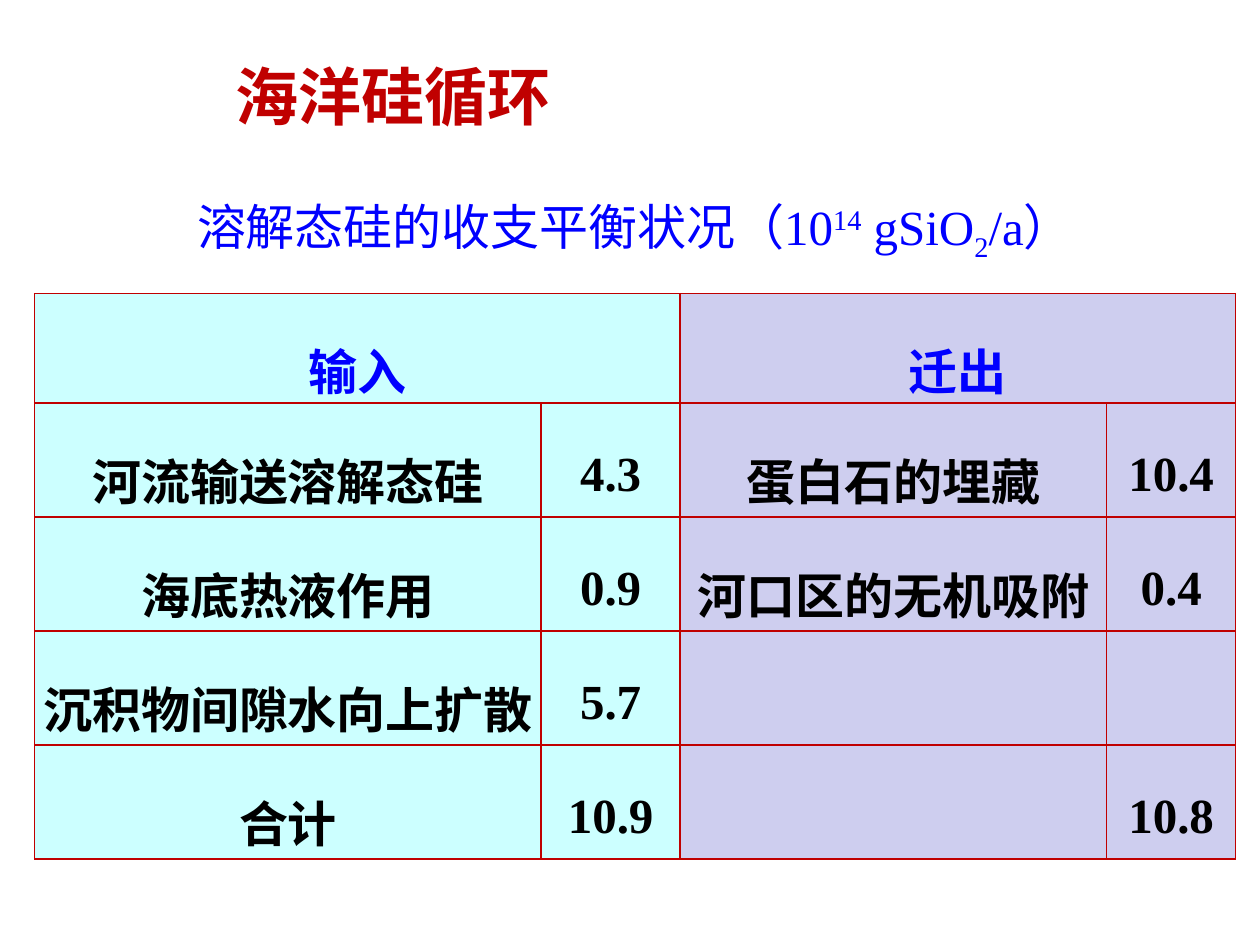
from lxml import etree
from pptx import Presentation
from pptx.dml.color import RGBColor
from pptx.enum.text import MSO_ANCHOR, MSO_AUTO_SIZE, PP_ALIGN
from pptx.oxml.ns import qn
from pptx.util import Cm, Pt

MIDDLE = MSO_ANCHOR.MIDDLE
CENTER, LEFT = PP_ALIGN.CENTER, PP_ALIGN.LEFT
FIT_SHAPE = MSO_AUTO_SIZE.SHAPE_TO_FIT_TEXT

TITLE = "海洋硅循环"
SUBTITLE = [
    ("溶解态硅的收支平衡状况（10", 0),
    ("14", 30),
    (" gSiO", 0),
    ("2", -25),
    ("/a）", 0),
]
BUDGET = [
    ("输入", "", "迁出", ""),
    ("河流输送溶解态硅", "4.3", "蛋白石的埋藏", "10.4"),
    ("海底热液作用", "0.9", "河口区的无机吸附", "0.4"),
    ("沉积物间隙水向上扩散", "5.7", "", ""),
    ("合计", "10.9", "", "10.8"),
]
COLUMN_WIDTHS = [Cm(10.21), Cm(2.8), Cm(8.6), Cm(2.6)]
ROW_HEIGHTS = [Cm(2.2)] + [Cm(2.3)] * 4
INSETS = {"left": Cm(0.05), "top": Cm(0.1), "right": Cm(0.05), "bottom": Cm(0.03)}

THEME = {
    "latin": "Times New Roman",
    "cjk": "Noto Sans CJK SC",
    "title_size": Pt(36),
    "body_size": Pt(28),
    "title": "C00000",
    "heading": "0000FF",
    "body": "000000",
    "border": "C00000",
    "input": "CCFFFF",
    "output": "CECEEF",
}


def rgb(role):
    return RGBColor.from_string(THEME[role])


def format_run(run, color, size="body_size", latin="latin", bold=False):
    run.font.size = THEME[size]
    run.font.bold = bold
    run.font.color.rgb = rgb(color)
    run.font.name = THEME[latin]
    properties = run.font._element
    east_asian = etree.Element(qn("a:ea"), typeface=THEME["cjk"])
    properties.find(qn("a:latin")).addnext(east_asian)


def set_margins(owner):
    for side, inset in INSETS.items():
        setattr(owner, f"margin_{side}", inset)


def add_borders(cell):
    properties = cell._tc.get_or_add_tcPr()
    for side in ("lnL", "lnR", "lnT", "lnB"):
        line = etree.SubElement(properties, qn(f"a:{side}"), w=str(Pt(1)))
        fill = etree.SubElement(line, qn("a:solidFill"))
        etree.SubElement(fill, qn("a:srgbClr"), val=THEME["border"])


def add_title(slide):
    title = slide.shapes.title
    title.left, title.top, title.width, title.height = Cm(4.5), Cm(1.12), Cm(9.8), Cm(1.6)
    title.text_frame.text = TITLE
    title.text_frame.vertical_anchor = MIDDLE
    paragraph = title.text_frame.paragraphs[0]
    paragraph.alignment = LEFT
    format_run(paragraph.runs[0], "title", "title_size", "cjk", True)


def add_subtitle(slide):
    subtitle = slide.shapes.add_textbox(Cm(3.3), Cm(3.94), Cm(19), Cm(1.32))
    frame = subtitle.text_frame
    frame.word_wrap = True
    frame.auto_size = FIT_SHAPE
    frame.vertical_anchor = MIDDLE
    set_margins(frame)
    paragraph = frame.paragraphs[0]
    paragraph.alignment = CENTER
    for wording, baseline in SUBTITLE:
        run = paragraph.add_run()
        run.text = wording
        format_run(run, "heading")
        if baseline:
            run.font._element.set("baseline", str(baseline * 1000))


def add_budget(slide):
    budget = slide.shapes.add_table(
        len(BUDGET), len(COLUMN_WIDTHS), Cm(0.7), Cm(5.92),
        sum(COLUMN_WIDTHS), sum(ROW_HEIGHTS),
    ).table
    for column, width in zip(budget.columns, COLUMN_WIDTHS):
        column.width = width
    for row, height in zip(budget.rows, ROW_HEIGHTS):
        row.height = height
    for start in (0, 2):
        budget.cell(0, start).merge(budget.cell(0, start + 1))

    for r, entries in enumerate(BUDGET):
        for c, entry in enumerate(entries):
            cell = budget.cell(r, c)
            add_borders(cell)
            cell.fill.solid()
            cell.fill.fore_color.rgb = rgb("input" if c < 2 else "output")
            if not entry:
                continue
            set_margins(cell)
            cell.vertical_anchor = MIDDLE
            cell.text_frame.text = entry
            paragraph = cell.text_frame.paragraphs[0]
            paragraph.alignment = CENTER
            paragraph.line_spacing = 1.5
            format_run(paragraph.runs[0], "body" if r else "heading", bold=True)


def main():
    deck = Presentation()
    deck.slide_width, deck.slide_height = Cm(25.4), Cm(19.05)
    slide = deck.slides.add_slide(deck.slide_layouts[5])
    add_title(slide)
    add_subtitle(slide)
    add_budget(slide)
    deck.save("out.pptx")


if __name__ == "__main__":
    main()
